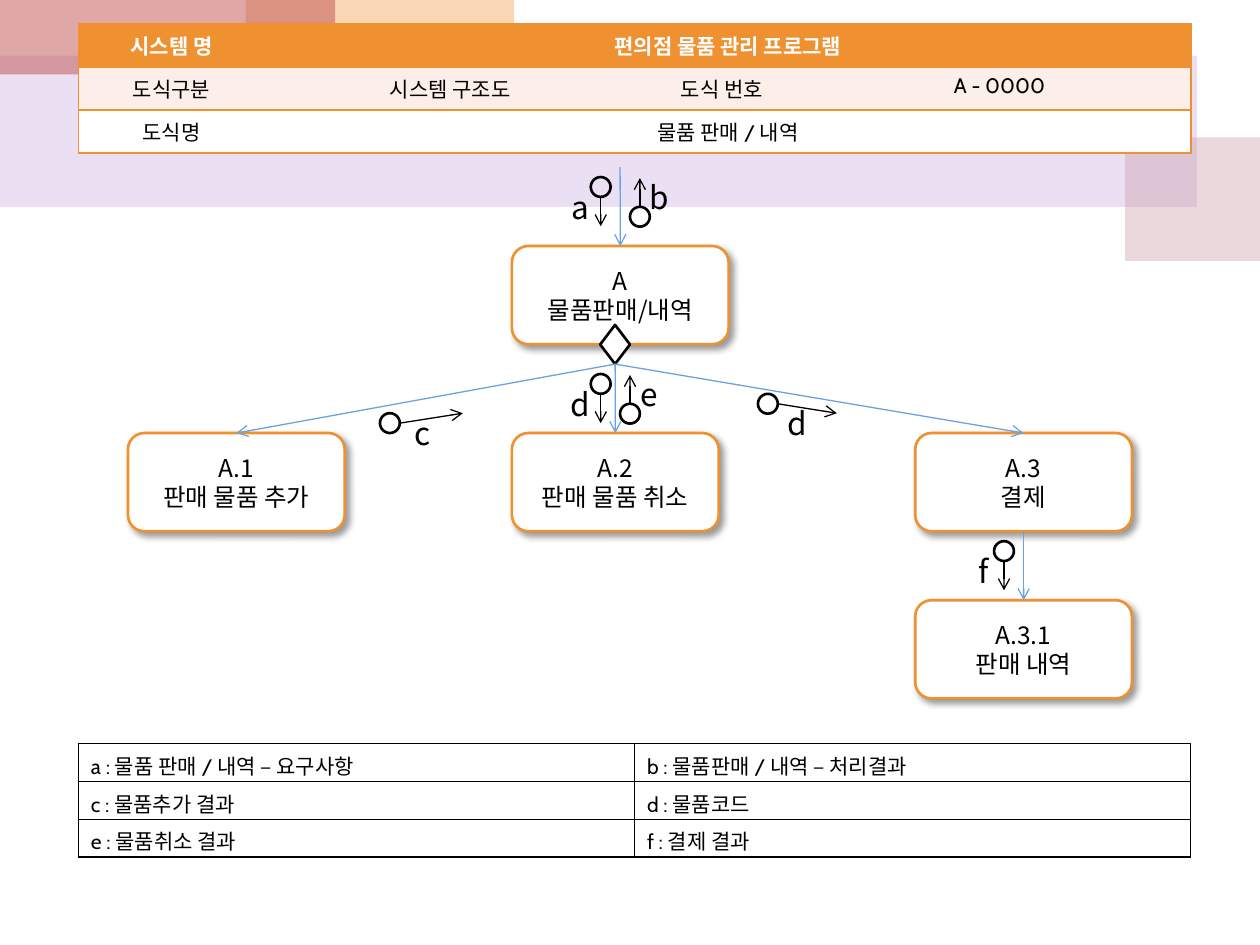
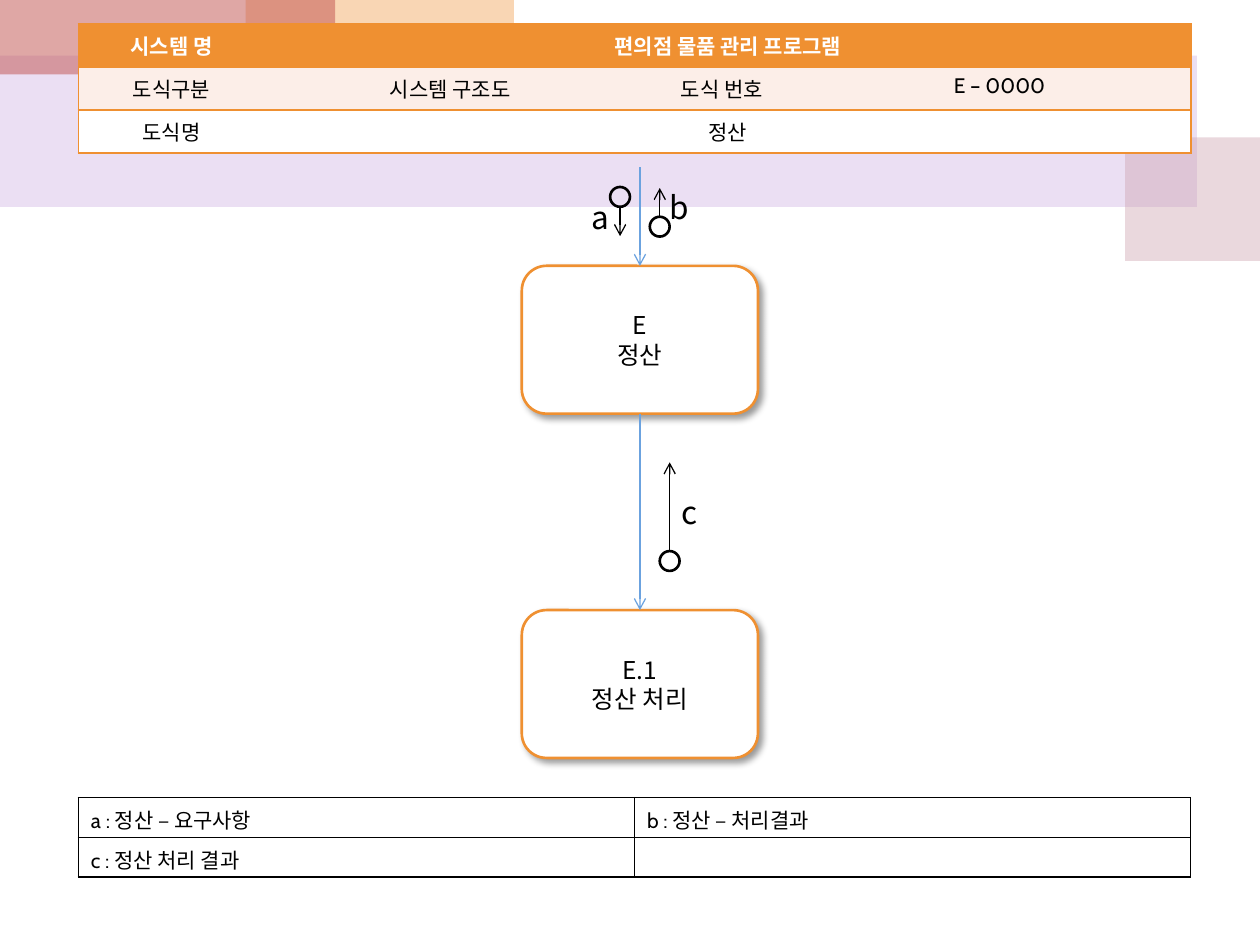
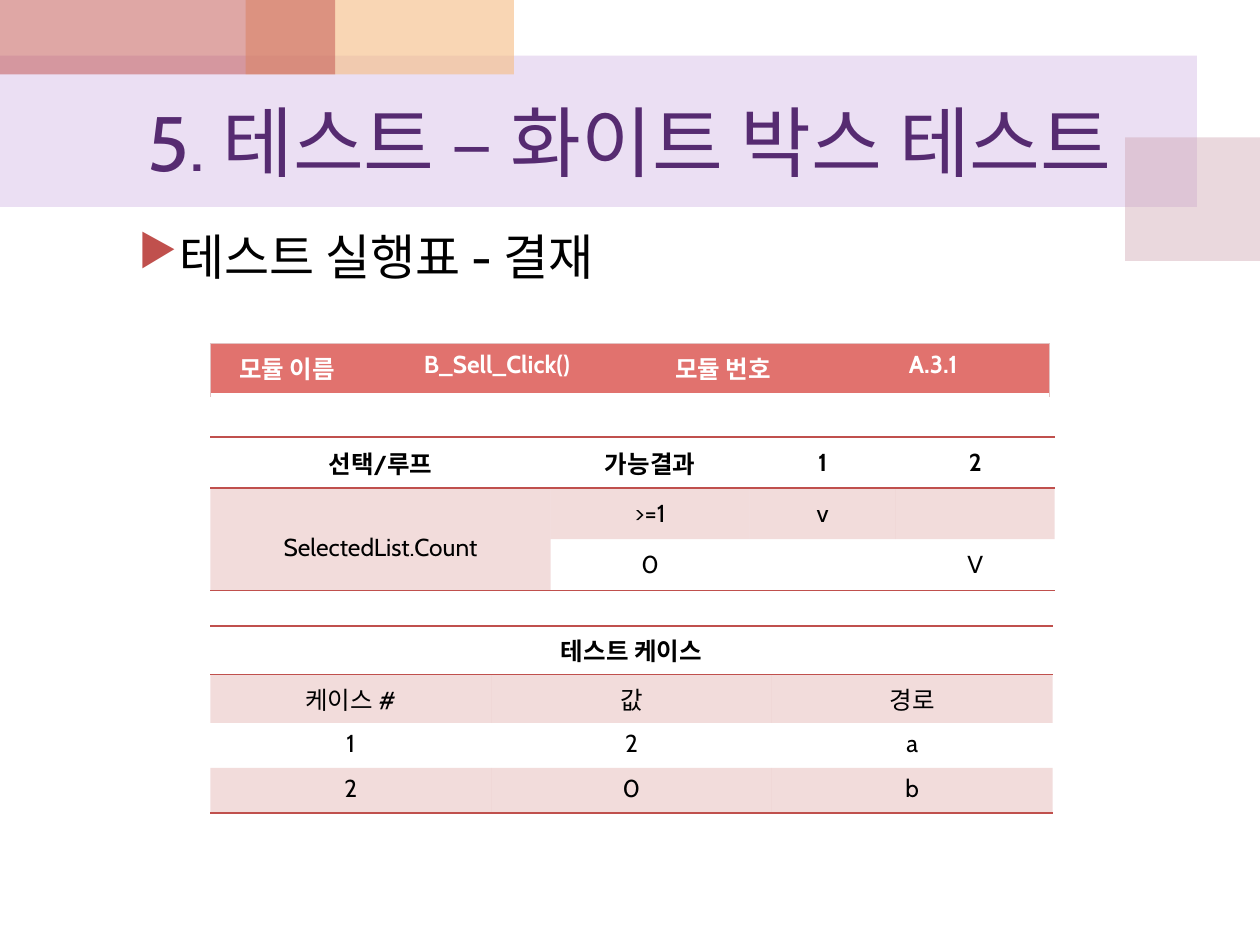
"""Build the structure charts and the white box test slide."""
import math

import lxml.etree
import pptx
import pptx.dml.color
import pptx.enum.shapes
import pptx.enum.text
import pptx.oxml.ns
import pptx.util

Cm = pptx.util.Cm
Pt = pptx.util.Pt
qn = pptx.oxml.ns.qn
SHAPE = pptx.enum.shapes.MSO_SHAPE
ALIGN = pptx.enum.text.PP_ALIGN
ANCHOR = pptx.enum.text.MSO_ANCHOR

COLORS = {
    "white": "FFFFFF", "black": "000000", "orange": "EF9031", "cream": "FCEEE8",
    "blue": "6BA2DF", "violet": "562B71", "lilac": "BF98D8", "rose": "CC9EAC",
    "peach": "F5BC83", "red": "C0504D", "coral": "E1726E", "blush": "E2C2C2",
}
HANGUL = "Noto Sans CJK KR"
LATIN = "Cabin"
BANDS = [
    ("lilac", 30, 0, 1.12, 24.13, 3.05),
    ("rose", 40, 22.68, 2.77, 2.72, 2.49),
    ("peach", 60, 4.95, 0, 5.41, 1.5),
    ("red", 50, 0, 0, 6.76, 1.5),
]
RING = 0.4
LABEL = 0.79
DOWN = (0, 0.79, -0.6, 0.2)
UP = (0, -0.78, 0.2, -0.6)


def add_xml(parent, tag, **attributes):
    return lxml.etree.SubElement(parent, qn(tag), attributes)


class Deck:
    """Holds the shared style and the current slide."""

    def __init__(self):
        self.deck = pptx.Presentation()
        self.deck.slide_width, self.deck.slide_height = Cm(25.4), Cm(19.05)
        self.slide = None

    def new_slide(self, title=None):
        layout = self.deck.slide_layouts[5 if title else 6]
        self.slide = self.deck.slides.add_slide(layout)
        for color, opacity, *place in BANDS:
            band = self.shape(SHAPE.RECTANGLE, *place)
            self.fill(band.fill, color, opacity)
        if title:
            heading = self.slide.shapes.title
            self.slide.shapes.element.append(heading.element)
            heading.left, heading.top = Cm(1.27), Cm(1.5)
            heading.width, heading.height = Cm(22.86), Cm(2.67)
            heading.text_frame.text = title
            heading.text_frame.vertical_anchor = ANCHOR.MIDDLE
            self.format(heading.text_frame, 44, "violet", LATIN)

    def rgb(self, color):
        return pptx.dml.color.RGBColor.from_string(COLORS[color])

    def fill(self, fill, color, opacity=100):
        if color is None:
            fill.background()
            return
        fill.solid()
        fill.fore_color.rgb = self.rgb(color)
        if opacity < 100:
            tone = fill._xPr.find(".//" + qn("a:srgbClr"))
            add_xml(tone, "a:alpha", val=str(opacity * 1000))

    def format(self, frame, size, color="black", font=HANGUL, bold=False, align=ALIGN.CENTER):
        for paragraph in frame.paragraphs:
            paragraph.alignment = align
            if not paragraph.runs:
                add_xml(paragraph._p, "a:endParaRPr", sz=str(size * 100))
            for run in paragraph.runs:
                run.font.size, run.font.bold, run.font.name = Pt(size), bold, font
                run.font.color.rgb = self.rgb(color)
                add_xml(run._r.get_or_add_rPr(), "a:ea", typeface=HANGUL)

    def shape(self, kind, left, top, width, height, fill=None, line=None):
        shape = self.slide.shapes.add_shape(kind, Cm(left), Cm(top), Cm(width), Cm(height))
        shape.shadow.inherit = False
        self.fill(shape.fill, fill)
        self.fill(shape.line.fill, line)
        if line:
            shape.line.width = Pt(1.5)
        return shape

    def module(self, text, left, top, width=4.37, height=1.98):
        box = self.shape(SHAPE.ROUNDED_RECTANGLE, left, top, width, height, "white", "orange")
        effects = box.element.spPr.find(qn("a:effectLst"))
        shadow = add_xml(effects, "a:outerShdw", blurRad=str(Pt(4)), dist=str(Pt(3)),
                         dir="2700000", algn="tl", rotWithShape="0")
        add_xml(add_xml(shadow, "a:srgbClr", val=COLORS["black"]), "a:alpha", val="40000")
        box.text_frame.text = text
        box.text_frame.vertical_anchor = ANCHOR.MIDDLE
        self.format(box.text_frame, 14)
        return box

    def arrow(self, start=(0, 0), end=(0, 0), color="blue", source=None, target=None):
        arrow = self.slide.shapes.add_connector(
            pptx.enum.shapes.MSO_CONNECTOR.STRAIGHT, *map(Cm, start + end))
        if source:
            arrow.begin_connect(source, 2)
        if target:
            arrow.end_connect(target, 0)
        arrow.line.color.rgb = self.rgb(color)
        arrow.line.width = Pt(0.75)
        properties = arrow._element.spPr
        add_xml(properties.find(qn("a:ln")), "a:tailEnd", type="arrow")
        add_xml(properties, "a:effectLst")

    def couple(self, name, left, top, reach):
        dx, dy, label_dx, label_dy = reach
        radius = RING / 2
        x, y = left + radius, top + radius
        self.shape(SHAPE.OVAL, left, top, RING, RING, line="black")
        sideways = dx > abs(dy)
        start = (x + radius, y) if sideways else (x, y + math.copysign(radius, dy))
        self.arrow(start, (x + dx, y + dy), "black")
        self.label(name, left + label_dx, top + label_dy)

    def label(self, name, left, top):
        box = self.slide.shapes.add_textbox(Cm(left), Cm(top), Cm(LABEL), Cm(LABEL))
        frame = box.text_frame
        frame.margin_left = frame.margin_right = frame.margin_top = frame.margin_bottom = 0
        frame.word_wrap = True
        frame.vertical_anchor = ANCHOR.MIDDLE
        frame.text = name
        self.format(frame, 18)

    def bullet(self, text):
        box = self.slide.shapes.add_textbox(Cm(1.27), Cm(4.45), Cm(22.86), Cm(12.57))
        box.text_frame.word_wrap = True
        box.text_frame.text = text
        properties = box.text_frame.paragraphs[0]._p.get_or_add_pPr()
        properties.set("marL", str(Cm(2.06)))
        properties.set("indent", str(Cm(-0.79)))
        add_xml(add_xml(properties, "a:buClr"), "a:srgbClr", val=COLORS["red"])
        add_xml(properties, "a:buSzPct", val="90000")
        add_xml(properties, "a:buChar", char="▶")
        self.format(box.text_frame, 28, font=LATIN, align=ALIGN.LEFT)

    def edge(self, cell, index, side, rule):
        color, width = rule or (None, 0)
        line = lxml.etree.Element(qn("a:ln" + side), w=str(Pt(width)))
        if color:
            add_xml(add_xml(line, "a:solidFill"), "a:srgbClr", val=COLORS[color])
        else:
            add_xml(line, "a:noFill")
        cell._tc.get_or_add_tcPr().insert(index, line)

    def table(self, left, top, widths, height, rows, fills, across, down=None, size=14,
              merges=(), head="black", bold=True, opacity=100, align=ALIGN.CENTER,
              anchor=ANCHOR.TOP):
        down = down or {}
        grid = self.slide.shapes.add_table(
            len(rows), len(widths), Cm(left), Cm(top), Cm(sum(widths)),
            Cm(height * len(rows))).table
        grid.first_row = grid.horz_banding = False
        for column, width in zip(grid.columns, widths):
            column.width = Cm(width)
        for first_row, first_column, last_row, last_column in merges:
            grid.cell(first_row, first_column).merge(grid.cell(last_row, last_column))
        for r, texts in enumerate(rows):
            grid.rows[r].height = Cm(height)
            for c, text in enumerate(texts):
                cell = grid.cell(r, c)
                cell.text_frame.text = text
                cell.vertical_anchor = anchor
                self.format(cell.text_frame, size, "black" if r else head, LATIN,
                            bold and r == 0, align)
                self.fill(cell.fill, fills[r], opacity)
                sides = {"L": down.get(c), "R": down.get(c + cell.span_width),
                         "T": across.get(r), "B": across.get(r + cell.span_height)}
                for index, (side, rule) in enumerate(sides.items()):
                    self.edge(cell, index, side, rule)
        return grid

    def chart_header(self, number, name):
        rule = ("orange", 1)
        rows = [["시스템 명", "편의점 물품 관리 프로그램", "", ""],
                ["도식구분", "시스템 구조도", "도식 번호", number],
                ["도식명", name, "", ""]]
        self.table(1.58, 0.48, [3.76, 7.47, 3.48, 7.72], 0.76, rows,
                   ["orange", "cream", "white"], dict.fromkeys(range(4), rule),
                   {0: rule, 4: rule}, 12, [(0, 1, 0, 3), (2, 1, 2, 3)], "white")

    def legend(self, top, height, entries):
        texts = [f"{key} : {meaning}" for key, meaning in entries.items()]
        texts += [""] * (len(texts) % 2)
        rows = [texts[i:i + 2] for i in range(0, len(texts), 2)]
        rule = ("black", 1)
        self.table(1.58, top, [11.21] * 2, height, rows, [None] * len(rows),
                   dict.fromkeys(range(len(rows) + 1), rule),
                   dict.fromkeys(range(3), rule), 12, bold=False, align=ALIGN.LEFT)


def sales_chart(deck):
    deck.new_slide()
    deck.chart_header("A - 0000", "물품 판매 / 내역")
    sales = deck.module("A\n물품판매/내역", 10.32, 4.96)
    add = deck.module("A.1\n판매 물품 추가", 2.58, 8.73)
    cancel = deck.module("A.2\n판매 물품 취소", 10.32, 8.73, 4.17)
    payment = deck.module("A.3\n결제", 18.45, 8.73)
    history = deck.module("A.3.1\n판매 내역", 18.45, 12.1)
    choice = deck.shape(SHAPE.DIAMOND, 12.1, 6.55, 0.6, 0.79, "white", "black")
    for branch in (add, cancel, payment):
        deck.arrow(source=choice, target=branch)
    deck.arrow(source=payment, target=history)
    deck.arrow(start=(12.5, 3.37), target=sales)
    for couple in [
        ("c", 7.66, 8.33, (1.47, -0.2, 0.47, 0)),
        ("e", 12.5, 8.14, UP),
        ("d", 15.28, 7.94, (1.39, 0.19, 0.4, 0.2)),
        ("d", 11.91, 7.54, DOWN),
        ("f", 20.04, 10.91, DOWN),
        ("b", 12.7, 4.17, UP),
        ("a", 11.91, 3.57, DOWN),
    ]:
        deck.couple(*couple)
    deck.legend(14.99, 0.76, {
        "a": "물품 판매 / 내역 – 요구사항", "b": "물품판매 / 내역 – 처리결과",
        "c": "물품추가 결과", "d": "물품코드", "e": "물품취소 결과", "f": "결제 결과"})


def settlement_chart(deck):
    deck.new_slide()
    deck.chart_header("E – 0000", "정산")
    settlement = deck.module("E\n정산", 10.52, 5.36, 4.76, 2.98)
    processing = deck.module("E.1\n정산 처리", 10.52, 12.3, 4.76, 2.98)
    deck.arrow(source=settlement, target=processing)
    deck.arrow(start=(12.9, 3.37), target=settlement)
    deck.couple("c", 13.3, 11.11, (0, -1.99, 0.2, -1.19))
    deck.couple("b", 13.1, 4.37, UP)
    deck.couple("a", 12.3, 3.77, DOWN)
    deck.legend(16.08, 0.8, {
        "a": "정산 – 요구사항", "b": "정산 – 처리결과", "c": "정산 처리 결과"})


def white_box_test(deck):
    deck.new_slide("5. 테스트 – 화이트 박스 테스트")
    border, rule = ("blush", 0.75), ("red", 1)
    deck.table(4.24, 6.93, [3.1, 5.36, 3.76, 4.7], 1.04,
               [["모듈 이름", "B_Sell_Click()", "모듈 번호", "A.3.1"]], ["coral"],
               {0: border, 1: ("white", 2.5)}, {0: border, 4: border}, head="white")
    deck.table(4.24, 12.62, [5.66] * 3, 0.91,
               [["테스트 케이스", "", ""], ["케이스 #", "값", "경로"],
                ["1", "2", "a"], ["2", "0", "b"]],
               [None, "red", None, "red"], {0: rule, 1: rule, 4: rule},
               merges=[(0, 0, 0, 2)], opacity=20)
    branches = deck.table(4.24, 8.81, [6.86, 4.01, 2.95, 3.2], 1.03,
                          [["선택/루프", "가능결과", "1", "2"],
                           ["SelectedList.Count", ">=1", "v", ""], ["", "0", "", "V"]],
                          [None, "red", None], {0: rule, 1: rule, 3: rule},
                          merges=[(1, 0, 2, 0)], opacity=20, anchor=ANCHOR.MIDDLE)
    branches.cell(1, 0).text_frame.paragraphs[0].line_spacing = 1.6
    deck.bullet("테스트 실행표 - 결재")


def main():
    deck = Deck()
    sales_chart(deck)
    settlement_chart(deck)
    white_box_test(deck)
    deck.deck.save("out.pptx")


if __name__ == "__main__":
    main()
